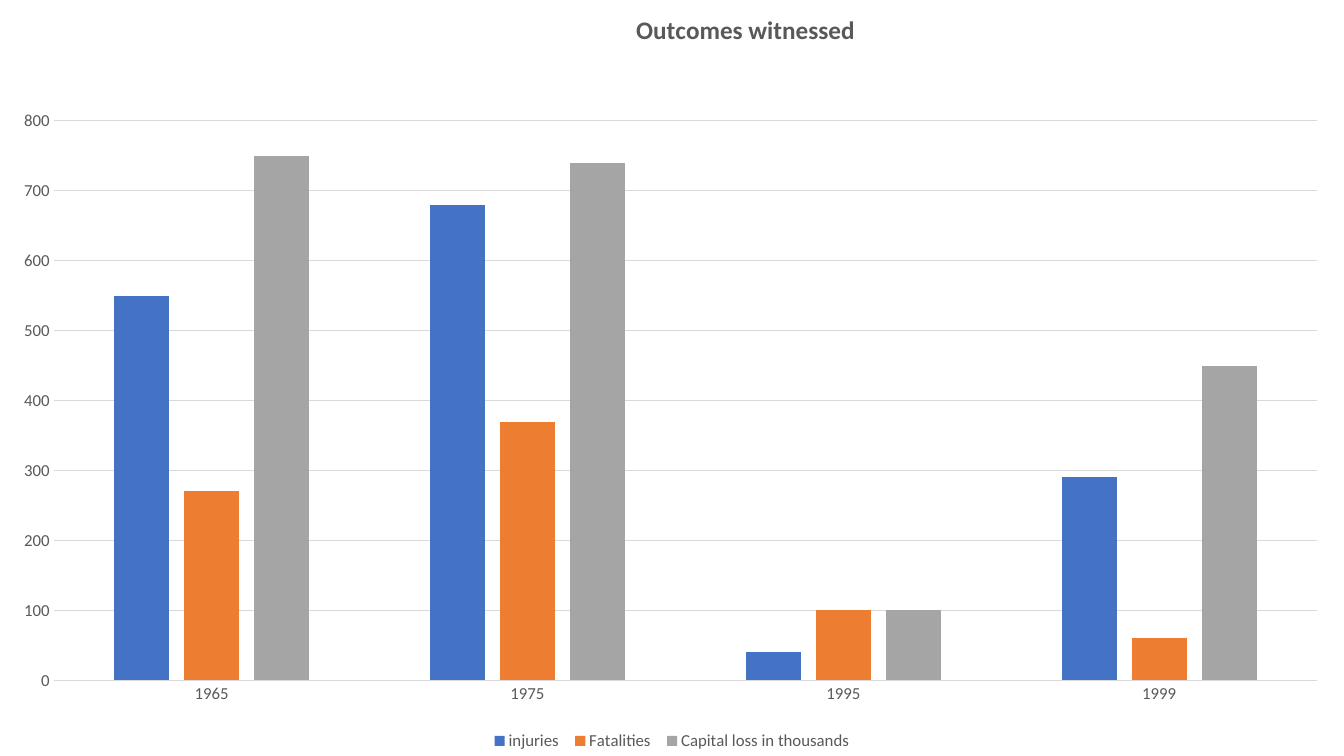
from pptx import Presentation
from pptx import util as u
from pptx.chart.data import CategoryChartData
from pptx.dml.color import RGBColor
from pptx.enum import chart as ch
from pptx.oxml.ns import qn
from pptx.oxml.xmlchemy import OxmlElement

WIDE, HIGH = u.Inches(13.33), u.Inches(7.5)
FACE = "Calibri"
HUES = {
    "text": "595959",
    "rule": "D9D9D9",
    "injuries": "4472C4",
    "Fatalities": "ED7D31",
    "Capital loss in thousands": "A5A5A5",
}
YEARS = ["1965", "1975", "1995", "1999"]
COUNTS = {
    "injuries": [550, 680, 40, 290],
    "Fatalities": [270, 370, 100, 60],
    "Capital loss in thousands": [750, 740, 100, 450],
}


def tint(name):
    return RGBColor.from_string(HUES[name])


def style(font, size=12, bold=False, hue="text"):
    font.name = FACE
    font.size = u.Pt(size)
    font.bold = bold
    font.color.rgb = tint(hue)


def write(frame, words, **form):
    frame.text = words
    style(frame.paragraphs[0].runs[0].font, **form)


def rule(line):
    line.color.rgb = tint("rule")
    line.width = u.Pt(0.75)


def place(chart, part, slot, inner=False, **share):
    host = next(chart._chartSpace.iter(qn(part)))
    for old in host.findall(qn("c:layout")):
        host.remove(old)
    layout = OxmlElement("c:layout")
    manual = OxmlElement("c:manualLayout")
    layout.append(manual)
    marks = [("layoutTarget", "inner")] if inner else []
    marks += [("xMode", "edge"), ("yMode", "edge")]
    marks += share.items()
    for tag, value in marks:
        item = OxmlElement("c:" + tag)
        item.set("val", str(value))
        manual.append(item)
    host.insert(slot, layout)


def add_bars(slide):
    data = CategoryChartData()
    data.categories = YEARS
    for name, counts in COUNTS.items():
        data.add_series(name, counts)
    kind = ch.XL_CHART_TYPE.COLUMN_CLUSTERED
    chart = slide.shapes.add_chart(kind, 0, 0, WIDE, HIGH, data).chart
    style(chart.font)
    plot = chart.plots[0]
    plot.gap_width, plot.overlap = 219, -27
    plot.vary_by_categories = False
    for bars in plot.series:
        bars.format.fill.solid()
        bars.format.fill.fore_color.rgb = tint(bars.name)
    return chart


def set_axes(chart):
    years, counts = chart.category_axis, chart.value_axis
    for axis in (years, counts):
        axis.major_tick_mark = axis.minor_tick_mark = ch.XL_TICK_MARK.NONE
        style(axis.tick_labels.font)
    rule(years.format.line)
    counts.format.line.fill.background()
    counts.minimum_scale, counts.maximum_scale = 0, 800
    counts.major_unit = 100
    rule(counts.major_gridlines.format.line)


def set_labels(chart):
    chart.has_title = True
    write(chart.chart_title.text_frame, "Outcomes witnessed", size=18, bold=True)
    chart.has_legend = True
    chart.legend.position = ch.XL_LEGEND_POSITION.BOTTOM
    chart.legend.include_in_layout = False
    style(chart.legend.font)


def main():
    deck = Presentation()
    deck.slide_width, deck.slide_height = WIDE, HIGH
    slide = deck.slides.add_slide(deck.slide_layouts[6])
    chart = add_bars(slide)
    set_axes(chart)
    set_labels(chart)
    place(chart, "c:title", 1, x=0.47, y=0.01)
    place(chart, "c:plotArea", 0, inner=True, x=0.04, y=0.16, w=0.94, h=0.74)
    place(chart, "c:legend", 1, x=0.36, y=0.96, w=0.28, h=0.04)
    deck.save("out.pptx")


if __name__ == "__main__":
    main()
